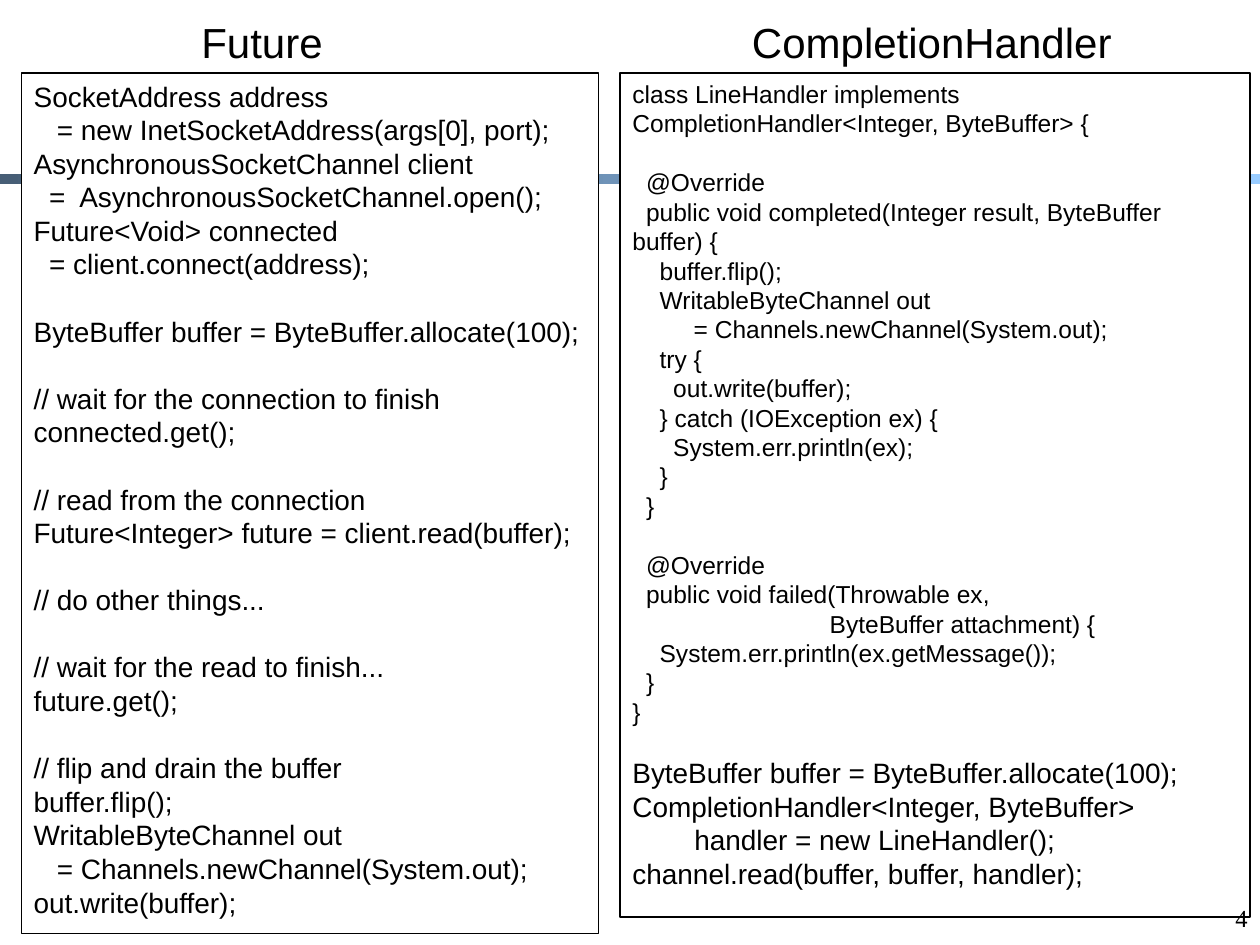
from dataclasses import dataclass

from pptx import Presentation
from pptx.dml.color import RGBColor
from pptx.enum.shapes import MSO_SHAPE
from pptx.enum.text import MSO_ANCHOR, PP_ALIGN
from pptx.util import Cm, Pt


@dataclass(frozen=True)
class Theme:
    ink = RGBColor(0x00, 0x00, 0x00)
    paper = RGBColor(0xFF, 0xFF, 0xFF)
    band_start = RGBColor(0x47, 0x5E, 0x76)
    band_end = RGBColor(0x99, 0xCC, 0xFF)
    code_font = "Arial"
    number_font = "Times New Roman"
    heading_size = 24
    large_code = 16
    small_code = 14
    line_factor = 1.2


THEME = Theme()

# An empty string leaves one line free; "\n" breaks a line inside a paragraph.
FUTURE_CODE = [
    "SocketAddress address \n   = new InetSocketAddress(args[0], port);",
    "AsynchronousSocketChannel client \n  =  AsynchronousSocketChannel.open();",
    "Future<Void> connected \n  = client.connect(address);",
    "",
    "ByteBuffer buffer = ByteBuffer.allocate(100);",
    "",
    "// wait for the connection to finish",
    "connected.get();",
    "",
    "// read from the connection",
    "Future<Integer> future = client.read(buffer);",
    "",
    "// do other things...",
    "",
    "// wait for the read to finish...",
    "future.get();",
    "",
    "// flip and drain the buffer",
    "buffer.flip();",
    "WritableByteChannel out \n   = Channels.newChannel(System.out);",
    "out.write(buffer);",
]
HANDLER_CLASS = [
    "class LineHandler implements CompletionHandler<Integer, ByteBuffer> {",
    "",
    "  @Override",
    "  public void completed(Integer result, ByteBuffer buffer) {",
    "    buffer.flip();",
    "    WritableByteChannel out \n         = Channels.newChannel(System.out);",
    "    try {",
    "      out.write(buffer);",
    "    } catch (IOException ex) {",
    "      System.err.println(ex);",
    "    }",
    "  }",
    "",
    "  @Override",
    "  public void failed(Throwable ex, \n                             ByteBuffer attachment) {",
    "    System.err.println(ex.getMessage());",
    "  }",
    "}",
    "",
]
HANDLER_USE = [
    "ByteBuffer buffer = ByteBuffer.allocate(100);",
    "CompletionHandler<Integer, ByteBuffer> \n        handler = new LineHandler();",
    "channel.read(buffer, buffer, handler);",
]


def add_text(paragraph, text, size, font=THEME.code_font):
    for index, line in enumerate(text.split("\n")):
        if index:
            paragraph.add_line_break()
        run = paragraph.add_run()
        run.text = line
        run.font.name = font
        run.font.size = Pt(size)
        run.font.color.rgb = THEME.ink


def add_label(slide, box, text, size, font=THEME.code_font, align=PP_ALIGN.LEFT, wrap=False):
    shape = slide.shapes.add_textbox(*map(Cm, box))
    shape.text_frame.word_wrap = wrap
    paragraph = shape.text_frame.paragraphs[0]
    paragraph.alignment = align
    add_text(paragraph, text, size, font)


def add_band(slide, box):
    shape = slide.shapes.add_shape(MSO_SHAPE.RECTANGLE, *map(Cm, box))
    shape.shadow.inherit = False
    shape.line.fill.background()
    shape.fill.gradient()
    shape.fill.gradient_angle = 0
    for stop, color in zip(shape.fill.gradient_stops, (THEME.band_start, THEME.band_end)):
        stop.color.rgb = color


def add_code(text_frame, sections):
    """Fill the frame with (lines, size) sections; free lines become space before."""
    gap = 0
    paragraph = None
    for lines, size in sections:
        pitch = size * THEME.line_factor
        for line in lines:
            if not line:
                gap += pitch
                continue
            paragraph = text_frame.add_paragraph() if paragraph else text_frame.paragraphs[0]
            paragraph.alignment = PP_ALIGN.LEFT
            paragraph.line_spacing = Pt(pitch)
            if gap:
                paragraph.space_before = Pt(gap)
                gap = 0
            add_text(paragraph, line, size)


def add_code_panel(slide, box, heading, heading_offset, heading_width, sections):
    left, top, _, _ = box
    shape = slide.shapes.add_shape(MSO_SHAPE.RECTANGLE, *map(Cm, box))
    shape.shadow.inherit = False
    shape.fill.solid()
    shape.fill.fore_color.rgb = THEME.paper
    shape.line.color.rgb = THEME.ink
    shape.line.width = Pt(0.75)
    shape.text_frame.word_wrap = True
    shape.text_frame.vertical_anchor = MSO_ANCHOR.TOP
    add_code(shape.text_frame, sections)

    # Heading standing on the panel
    height = 1.27
    heading_box = (left + heading_offset, top - height, heading_width, height)
    add_label(slide, heading_box, heading, THEME.heading_size)


def main():
    presentation = Presentation()
    presentation.slide_width, presentation.slide_height = Cm(25.4), Cm(19.05)
    slide = presentation.slides.add_slide(presentation.slide_layouts[6])

    # Band behind the panels
    add_band(slide, (0, 3.5, 25.4, 0.21))

    # The two styles side by side
    add_code_panel(slide, (0.43, 1.47, 11.63, 17.35), "Future", 3.38, 2.97,
                   [(FUTURE_CODE, THEME.large_code)])
    add_code_panel(slide, (12.5, 1.47, 12.7, 17.02), "CompletionHandler", 2.41, 7.85,
                   [(HANDLER_CLASS, THEME.small_code), (HANDLER_USE, THEME.large_code)])

    # Slide number
    add_label(slide, (24.13, 18.08, 1.27, 0.97), "4", THEME.small_code,
              THEME.number_font, PP_ALIGN.RIGHT, wrap=True)

    presentation.save("out.pptx")


if __name__ == "__main__":
    main()
